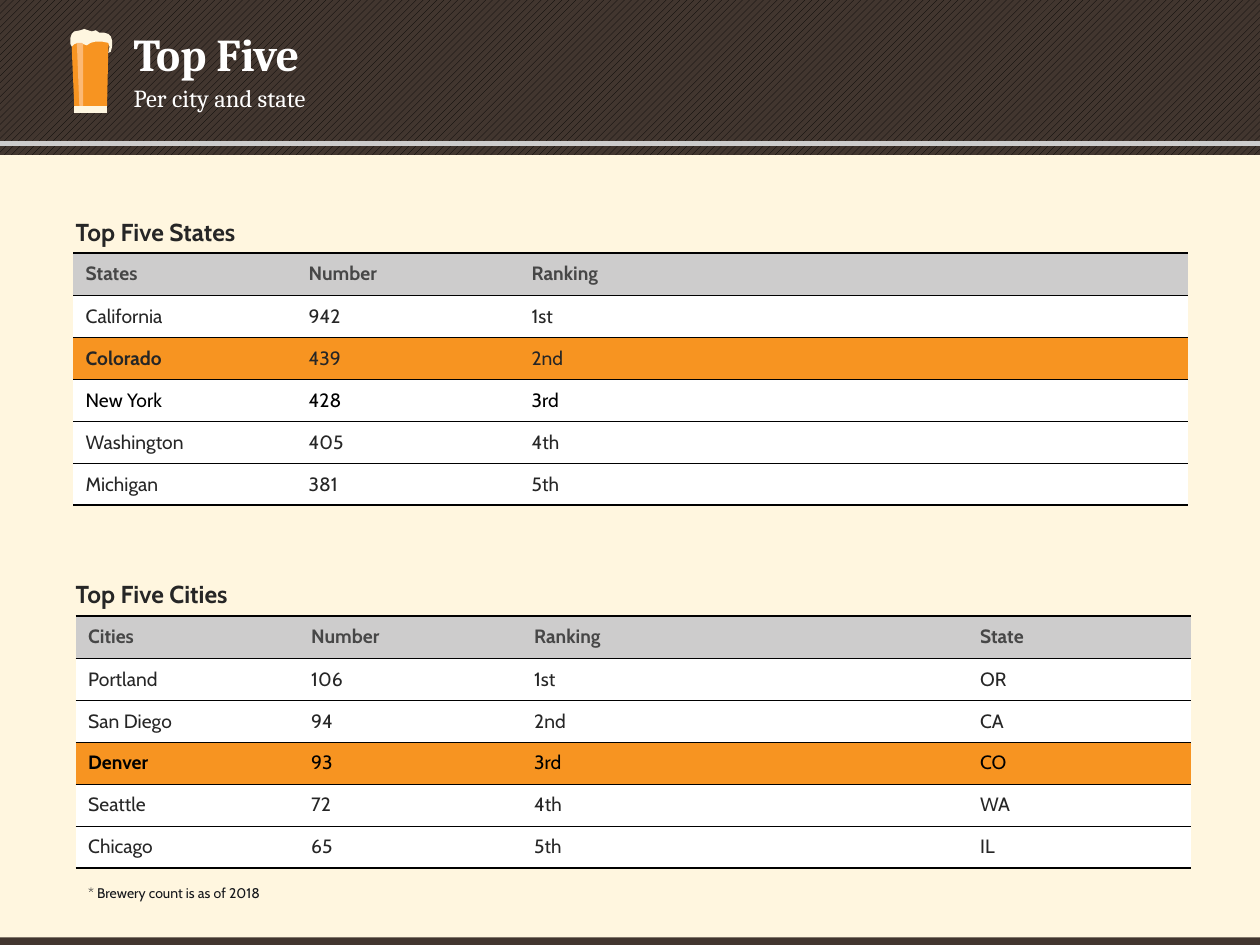
from lxml.etree import SubElement
from pptx import Presentation
from pptx.dml.color import RGBColor
from pptx.enum.dml import MSO_PATTERN
from pptx.enum.shapes import MSO_CONNECTOR, MSO_SHAPE
from pptx.enum.text import MSO_ANCHOR as Anchor, MSO_AUTO_SIZE as AutoSize, PP_ALIGN as Align
from pptx.oxml.ns import qn
from pptx.util import Inches, Pt

COLORS = {
    "cream": "FFF6DF", "foam": "FEF6E0", "brown": "42362F", "black": "000000",
    "gray": "CDCCCC", "orange": "F79421", "shine": "FCB974", "white": "FFFFFF",
    "heading": "474747", "text": "262626", "note": "14161A",
}
PLAIN_TABLE = "{2D5ABB26-0587-4C30-8999-92F81FD0307C}"
BLACK_TEXT_ROW = 3

GLASS_PARTS = [
    ("orange", [(57, 28), (57, 39), (59, 84), (85, 84), (86, 39), (87, 30)]),
    ("foam", [(59, 84), (59, 90), (85, 90), (85, 84)]),
    ("foam", [(57, 37), (56, 35), (56, 30), (57, 27), (59, 25), (64, 24), (67, 23),
              (70, 24), (73, 25), (76, 24), (79, 26), (83, 26), (86, 27), (88, 29),
              (89, 32), (89, 37), (88, 41), (86, 42), (87, 37), (86, 34), (81, 33),
              (76, 33), (72, 34), (69, 36), (66, 35), (62, 34), (59, 35)]),
    ("shine", [(65, 34), (61, 34), (63, 84), (66, 84), (66, 35)]),
]
STATES = [
    ("States", "Number", "Ranking", "", ""),
    ("California", "942", "1st", "", ""),
    ("Colorado", "439", "2nd", "", ""),
    ("New York", "428", "3rd", "", ""),
    ("Washington", "405", "4th", "", ""),
    ("Michigan", "381", "5th", "", ""),
]
CITIES = [
    ("Cities", "Number", "Ranking", "", "State"),
    ("Portland", "106", "1st", "", "OR"),
    ("San Diego", "94", "2nd", "", "CA"),
    ("Denver", "93", "3rd", "", "CO"),
    ("Seattle", "72", "4th", "", "WA"),
    ("Chicago", "65", "5th", "", "IL"),
]


def rgb(name):
    return RGBColor.from_string(COLORS[name])


class SlideBuilder:
    body_font = "Cabin"
    title_font = "Cambria"

    def __init__(self, page):
        self.page = page

    def fill(self, shape, color):
        shape.fill.solid()
        shape.fill.fore_color.rgb = rgb(color)
        shape.line.fill.background()
        shape.shadow.inherit = False

    def band(self, top, height, color):
        shape = self.page.shapes.add_shape(
            MSO_SHAPE.RECTANGLE, 0, Inches(top), Inches(10), Inches(height))
        self.fill(shape, color)
        return shape

    def striped_band(self, top, height):
        fill = self.band(top, height, "brown").fill
        fill.patterned()
        fill.pattern = MSO_PATTERN.WIDE_UPWARD_DIAGONAL
        fill.fore_color.rgb = rgb("black")
        fill.back_color.rgb = rgb("brown")

    def rule(self, top, color, weight):
        line = self.page.shapes.add_connector(
            MSO_CONNECTOR.STRAIGHT, 0, Inches(top), Inches(10), Inches(top))
        line.line.color.rgb = rgb(color)
        line.line.width = Pt(weight)
        SubElement(line._element.spPr, qn("a:effectLst"))

    def glass(self):
        group = self.page.shapes.add_group_shape()
        for color, points in GLASS_PARTS:
            builder = group.shapes.build_freeform(*points[0], scale=Inches(0.01))
            builder.add_line_segments(points[1:], close=True)
            self.fill(builder.convert_to_shape(), color)

    def set_text(self, frame, text, size, color, font, bold=False):
        frame.text = text
        para = frame.paragraphs[0]
        para.alignment = Align.LEFT
        for span in para.runs:
            span.font.name = font
            span.font.size = Pt(size)
            span.font.bold = bold
            span.font.color.rgb = rgb(color)
        return para

    def place(self, box, left, top, width, height, inset=0):
        box.left, box.top = Inches(left), Inches(top)
        box.width, box.height = Inches(width), Inches(height)
        frame = box.text_frame
        frame.margin_left = frame.margin_right = Inches(inset)
        frame.margin_top = frame.margin_bottom = Inches(inset / 2)
        frame.vertical_anchor = Anchor.TOP
        frame.auto_size = AutoSize.NONE
        frame.word_wrap = True
        return frame

    def title(self, text):
        box = self.page.shapes.title
        self.page.shapes._spTree.append(box._element)
        frame = self.place(box, 1.06, 0.21, 4.02, 0.44)
        self.set_text(frame, text, 26, "white", self.title_font, bold=True)

    def text(self, text, left, top, width, height, size, color,
             font=body_font, bold=False, inset=0, spacing=1.0, wrap=True):
        box = self.page.shapes.add_textbox(0, 0, 0, 0)
        frame = self.place(box, left, top, width, height, inset)
        frame.word_wrap = wrap
        para = self.set_text(frame, text, size, color, font, bold)
        para.line_spacing = spacing

    def border(self, cell, side, weight):
        line = SubElement(cell._tc.get_or_add_tcPr(), qn(f"a:{side}"), w=str(Pt(weight)))
        fill = SubElement(line, qn("a:solidFill"))
        SubElement(fill, qn("a:srgbClr"), val=COLORS["black"])

    def cell(self, cell, text, fill, color, bold, anchor, top_weight, bottom_weight):
        cell.margin_left = cell.margin_right = Inches(0.1)
        cell.margin_top = cell.margin_bottom = Inches(0.07)
        cell.vertical_anchor = anchor
        para = self.set_text(cell.text_frame, text, 11, color, self.body_font, bold)
        if not text:
            SubElement(para._p, qn("a:endParaRPr"), sz="1100")
        self.border(cell, "lnT", top_weight)
        self.border(cell, "lnB", bottom_weight)
        cell.fill.solid()
        cell.fill.fore_color.rgb = rgb(fill)

    def table(self, rows, left, top, highlight):
        table = self.page.shapes.add_table(
            len(rows), len(rows[0]), Inches(left), Inches(top), Inches(8.85), Inches(2)).table
        table._tbl.tblPr.find(qn("a:tableStyleId")).text = PLAIN_TABLE
        table.horz_banding = False
        last = len(rows) - 1
        for r, row in enumerate(rows):
            header = r == 0
            fill = "gray" if header else "orange" if r == highlight else "white"
            color = "heading" if header else "black" if r == BLACK_TEXT_ROW else "text"
            anchor = Anchor.TOP if header else Anchor.MIDDLE
            for c, text in enumerate(row):
                bold = header or (r == highlight and c == 0)
                self.cell(table.cell(r, c), text, fill, color, bold, anchor,
                          1.5 if header else 0.25, 1.5 if r == last else 0.25)


def main():
    deck = Presentation()
    deck.slide_width, deck.slide_height = Inches(10), Inches(7.5)
    slide = SlideBuilder(deck.slides.add_slide(deck.slide_layouts[5]))

    slide.band(0, 7.5, "cream")
    slide.striped_band(0, 1.23)
    slide.rule(1.14, "gray", 3.25)
    slide.band(7.44, 0.06, "brown")
    slide.glass()
    slide.title("Top Five")
    slide.text("Per city and state", 1.06, 0.66, 4.02, 0.32, 14, "white", slide.title_font)

    sections = [
        ("Top Five States", 1.7, STATES, 0.58, 2.01, 2),
        ("Top Five Cities", 4.57, CITIES, 0.6, 4.89, 3),
    ]
    for heading, heading_top, rows, left, top, highlight in sections:
        slide.text(heading, 0.6, heading_top, 3.87, 0.23, 14, "text", bold=True, spacing=1.1)
        slide.table(rows, left, top, highlight)
    slide.text("* Brewery count is as of 2018", 0.6, 6.97, 1.69, 0.24, 8, "note",
               inset=0.1, wrap=False)

    deck.save("out.pptx")


if __name__ == "__main__":
    main()
